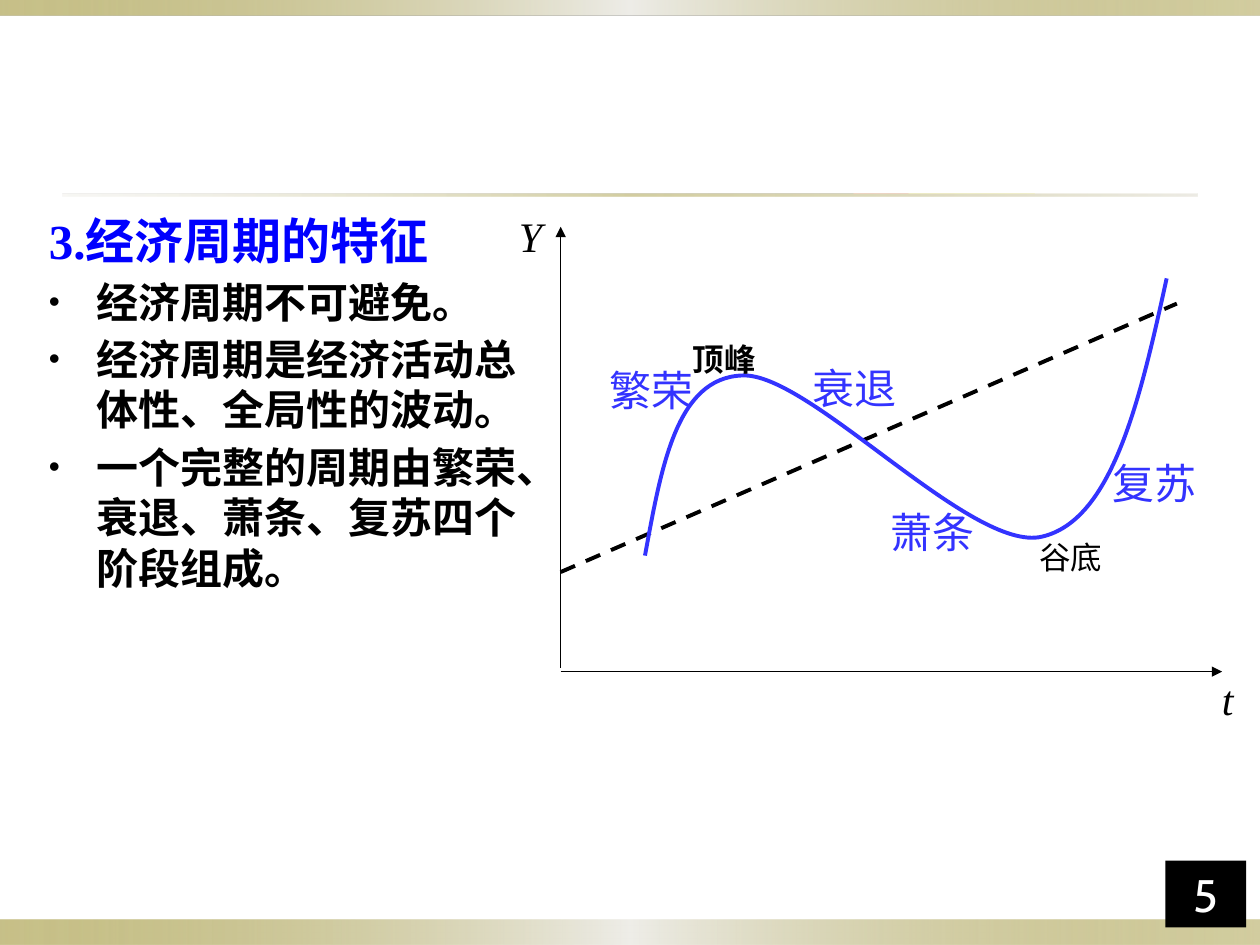
from lxml.etree import SubElement
from pptx import Presentation
from pptx.dml.color import RGBColor
from pptx.enum.dml import MSO_LINE
from pptx.enum.shapes import MSO_CONNECTOR, MSO_SHAPE
from pptx.enum.text import MSO_ANCHOR, MSO_AUTO_SIZE, PP_ALIGN
from pptx.oxml import parse_xml
from pptx.oxml.ns import nsdecls, qn
from pptx.util import Pt


def paint(fill, color):
    fill.solid()
    fill.fore_color.rgb = RGBColor.from_string(color)


def style(span, size, font, color, bold=False, italic=False):
    span.font.size = Pt(size)
    span.font.name = font
    span.font.bold = bold
    span.font.italic = italic
    paint(span.font.fill, color)


deck = Presentation()
deck.slide_width, deck.slide_height = Pt(720), Pt(540)
page = deck.slides.add_slide(deck.slide_layouts[6])
shapes = page.shapes

band_stops = [("918415", 50), ("EEEDE8", 100), ("918415", 40)]
rule_stops = [("DCD9CC", 20), ("918415", 40), ("DCD9CC", 50)]
bands = [
    (0, 525.6, 720, 14.4, band_stops),
    (0, 0, 720, 8.64, band_stops),
    (36, 110.9, 648, 1.44, rule_stops),
]
for left, top, width, height, stops in bands:
    band = shapes.add_shape(MSO_SHAPE.RECTANGLE, Pt(left), Pt(top), Pt(width), Pt(height))
    band.shadow.inherit = False
    band.line.fill.background()
    stop_xml = "".join(
        f'<a:gs pos="{index * 50000}"><a:srgbClr val="{color}">'
        f'<a:alpha val="{alpha * 1000}"/></a:srgbClr></a:gs>'
        for index, (color, alpha) in enumerate(stops)
    )
    gradient = parse_xml(
        f'<a:gradFill {nsdecls("a")} rotWithShape="1"><a:gsLst>{stop_xml}</a:gsLst>'
        '<a:lin ang="0" scaled="0"/></a:gradFill>'
    )
    band.element.spPr.find(qn("a:prstGeom")).addnext(gradient)

graph_lines = [
    (320.4, 383.8, 698.4, 383.8, 0.75, False),
    (320.4, 381.6, 320.4, 129.6, 0.75, False),
    (320.4, 326.9, 672.5, 173.5, 2.25, True),
]
for x1, y1, x2, y2, weight, is_trend in graph_lines:
    line = shapes.add_connector(MSO_CONNECTOR.STRAIGHT, Pt(x1), Pt(y1), Pt(x2), Pt(y2))
    paint(line.line.fill, "000000")
    line.line.width = Pt(weight)
    if is_trend:
        line.line.dash_style = MSO_LINE.DASH
    else:
        SubElement(line.line._get_or_add_ln(), qn("a:tailEnd"), type="triangle")
    SubElement(line.element.spPr, qn("a:effectLst"))

cycle_points = [
    (368.6, 317.5),
    (378, 266.4), (386.6, 216), (424.1, 214.6),
    (462.2, 212.4), (555.1, 316.1), (595.4, 306.7),
    (635.8, 297.4), (651.6, 228.2), (666.7, 159.1),
]
builder = shapes.build_freeform(Pt(cycle_points[0][0]), Pt(cycle_points[0][1]))
builder.add_line_segments([(Pt(x), Pt(y)) for x, y in cycle_points[1:]], close=False)
cycle = builder.convert_to_shape()
cycle.shadow.inherit = False
cycle.fill.background()
paint(cycle.line.fill, "3333FF")
cycle.line.width = Pt(2.25)
outline = cycle.element.spPr.find(".//" + qn("a:path"))
segments = outline.findall(qn("a:lnTo"))
for start in range(0, len(segments), 3):
    curve = SubElement(outline, qn("a:cubicBezTo"))
    for segment in segments[start:start + 3]:
        curve.append(segment[0])
        outline.remove(segment)

phase = (24, "Arial", "3333FF")
axis = (24, "Times New Roman", "000000", False, True)
labels = [
    ("繁荣", 341.3, 204.5, 90, 36, phase),
    ("萧条", 501.8, 285.8, 95.8, 36, phase),
    ("衰退", 457.2, 203.8, 66.2, 36, phase),
    ("复苏", 628.6, 257.8, 84.2, 36, phase),
    ("t", 691.2, 381.6, 31.7, 36, axis),
    ("Y", 289.4, 116.6, 48.2, 36, axis),
    ("顶峰", 388.8, 190.8, 51.1, 28.8, (18, "Karla", "000000", True)),
    ("谷底", 586.8, 303.8, 62.6, 28.8, (18, "Karla", "000000")),
]
for text, left, top, width, height, look in labels:
    box = shapes.add_textbox(Pt(left), Pt(top), Pt(width), Pt(height))
    frame = box.text_frame
    frame.word_wrap = True
    frame.auto_size = MSO_AUTO_SIZE.SHAPE_TO_FIT_TEXT
    frame.text = text
    style(frame.paragraphs[0].runs[0], *look)

body = shapes.add_textbox(Pt(20.9), Pt(116.6), Pt(292.3), Pt(315.4)).text_frame
body.word_wrap = True
body.text = "\n".join([
    "3.经济周期的特征",
    "经济周期不可避免。",
    "经济周期是经济活动总体性、全局性的波动。",
    "一个完整的周期由繁荣、衰退、萧条、复苏四个阶段组成。",
])
heading, *bullets = body.paragraphs
style(heading.runs[0], 28, "Times New Roman", "0000FF", True)
for para in bullets:
    style(para.runs[0], 24, "Arial", "000000", True)
    para.space_before = Pt(4)
    properties = para._p.get_or_add_pPr()
    properties.set("marL", str(Pt(27)))
    properties.set("indent", str(Pt(-27)))
    bullet_color = SubElement(properties, qn("a:buClr"))
    SubElement(bullet_color, qn("a:srgbClr"), val="000000")
    SubElement(properties, qn("a:buSzPct"), val="75000")
    SubElement(properties, qn("a:buFont"), typeface="Arial")
    SubElement(properties, qn("a:buChar"), char="•")

number = shapes.add_shape(MSO_SHAPE.RECTANGLE, Pt(666), Pt(491.8), Pt(46.1), Pt(38.2))
number.shadow.inherit = False
paint(number.fill, "000000")
number.line.fill.background()
number.text_frame.text = "5"
number.text_frame.vertical_anchor = MSO_ANCHOR.BOTTOM
number.text_frame.paragraphs[0].alignment = PP_ALIGN.CENTER
style(number.text_frame.paragraphs[0].runs[0], 26, "Cabin", "FFFFFF")

deck.save("out.pptx")
